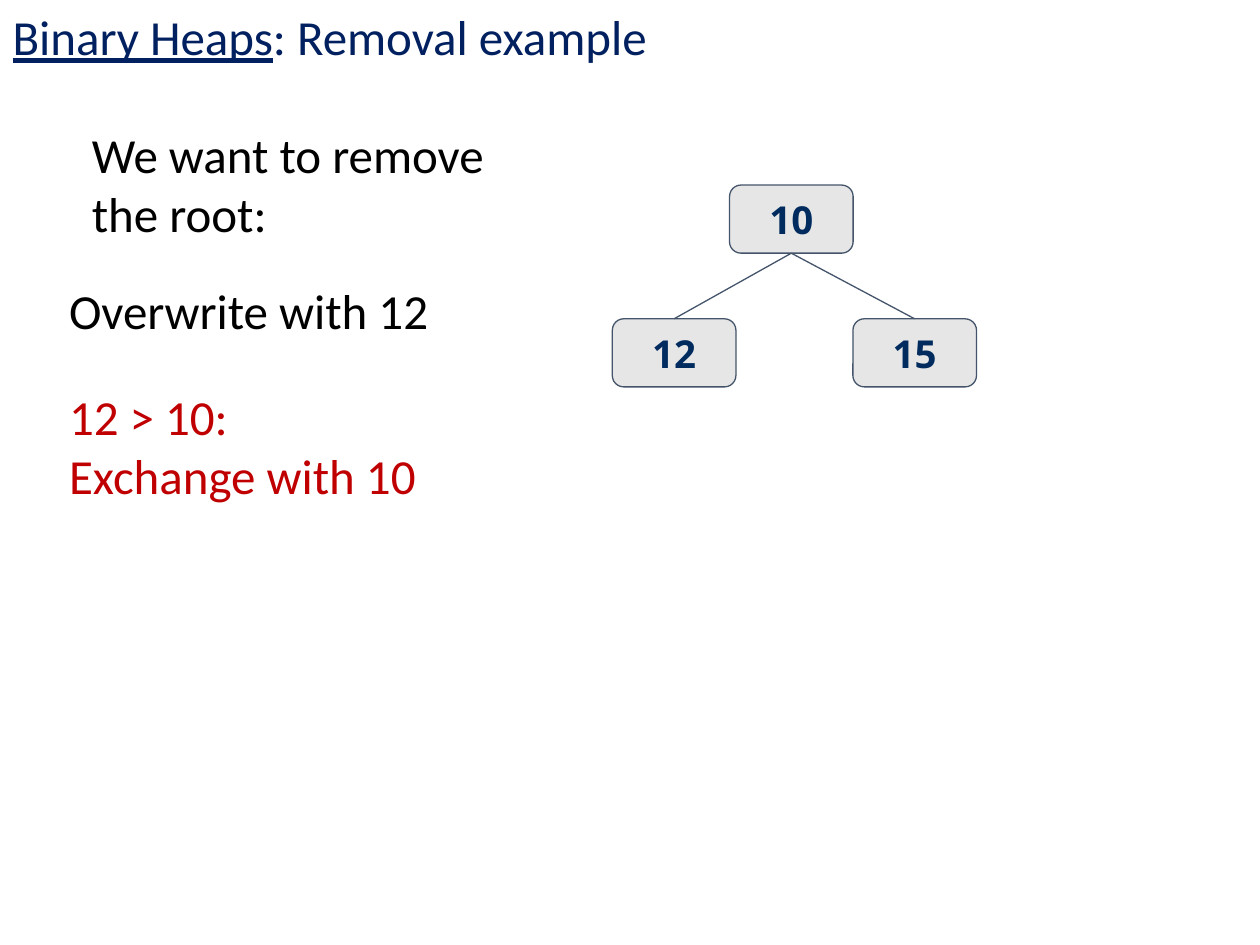
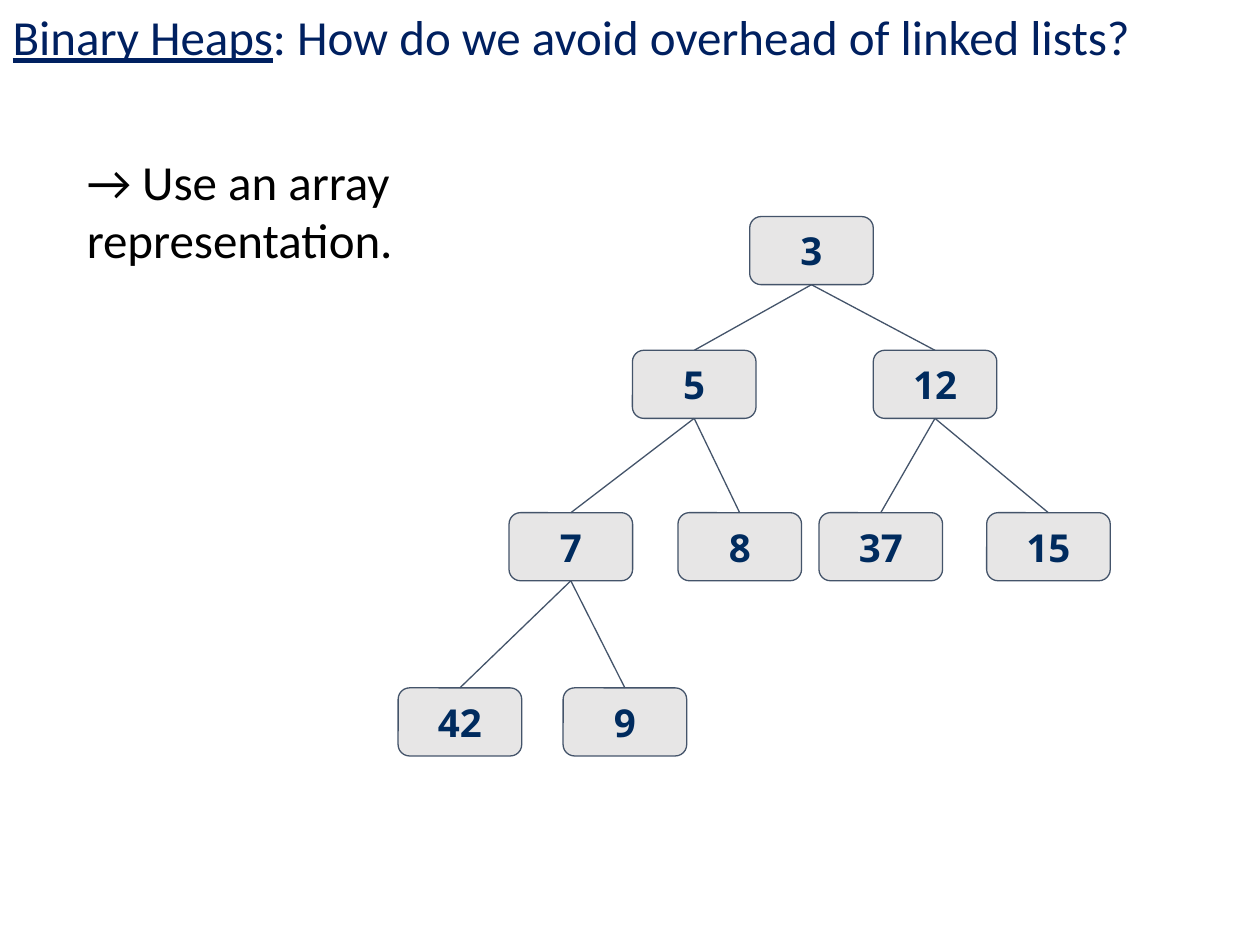
"""Builds two slides on binary heaps: a removal example and the step to an array."""
from dataclasses import dataclass

from pptx import Presentation
from pptx.dml.color import RGBColor
from pptx.enum.shapes import MSO_CONNECTOR as Connector, MSO_SHAPE as Shape
from pptx.enum.text import MSO_ANCHOR as Anchor, MSO_AUTO_SIZE as AutoSize, PP_ALIGN as Align
from pptx.oxml.ns import qn
from pptx.util import Pt


@dataclass(frozen=True)
class Theme:
    title: RGBColor = RGBColor.from_string("002060")
    body: RGBColor = RGBColor.from_string("000000")
    accent: RGBColor = RGBColor.from_string("C00000")
    node_text: RGBColor = RGBColor.from_string("002B5E")
    node_fill: RGBColor = RGBColor.from_string("E7E6E6")
    edge: RGBColor = RGBColor.from_string("44546A")
    text_font: str = "Calibri"
    node_font: str = "Noto Sans"
    text_size: Pt = Pt(28)
    node_size: Pt = Pt(22)
    edge_width: Pt = Pt(0.75)


theme = Theme()
NODE_WIDTH, NODE_HEIGHT = Pt(70.6), Pt(38.9)
BOTTOM, TOP = 2, 0

SLIDES = [
    {
        "title": ": Removal example",
        "notes": [
            (45.4, 67.7, 280.8, 74.9, theme.body, ["We want to remove the root:"]),
            (32.4, 157, 280.8, 41, theme.body, ["Overwrite with 12"]),
            (32.4, 217.4, 280.8, 108.7, theme.accent, ["12 > 10:", "Exchange with 10"]),
        ],
        "levels": [
            (105.8, [("10", 416.9)]),
            (182.2, [("12", 349.9), ("15", 487.4)]),
        ],
    },
    {
        "title": ": How do we avoid overhead of linked lists?",
        "notes": [
            (42.5, 82.8, 210.2, 74.9, theme.body, ["→ Use an array representation."]),
        ],
        "levels": [
            (123.8, [("3", 428.4)]),
            (200.2, [("5", 361.4), ("12", 499)]),
            (293, [("7", 290.9), ("8", 387.4), ("37", 468), ("15", 563.8)]),
            (393.1, [("42", 227.5), ("9", 321.8)]),
        ],
    },
]


def add_run(paragraph, text, color, font=theme.text_font, size=theme.text_size):
    run = paragraph.add_run()
    run.text = text
    run.font.name = font
    run.font.size = size
    run.font.color.rgb = color
    return run


presentation = Presentation()
presentation.slide_width, presentation.slide_height = Pt(720), Pt(540)
title_only = presentation.slide_layouts[5]

for content in SLIDES:
    slide = presentation.slides.add_slide(title_only)

    title = slide.shapes.title
    title.left, title.top, title.width, title.height = Pt(0), Pt(0), Pt(705), Pt(41)
    title.text_frame.auto_size = AutoSize.NONE
    title.text_frame.vertical_anchor = Anchor.TOP
    paragraph = title.text_frame.paragraphs[0]
    paragraph.alignment = Align.LEFT
    add_run(paragraph, "Binary Heaps", theme.title).font.underline = True
    add_run(paragraph, content["title"], theme.title)

    for left, top, width, height, color, lines in content["notes"]:
        note = slide.shapes.add_textbox(Pt(left), Pt(top), Pt(width), Pt(height))
        note.text_frame.word_wrap = True
        for number, line in enumerate(lines):
            paragraph = note.text_frame.add_paragraph() if number else note.text_frame.paragraphs[0]
            add_run(paragraph, line, color)

    nodes = []
    for top, level in content["levels"]:
        for value, left in level:
            node = slide.shapes.add_shape(
                Shape.ROUNDED_RECTANGLE, Pt(left), Pt(top), NODE_WIDTH, NODE_HEIGHT)
            node.shadow.inherit = False
            node.fill.solid()
            node.fill.fore_color.rgb = theme.node_fill
            node.line.color.rgb = theme.edge
            node.line.width = theme.edge_width
            frame = node.text_frame
            frame.margin_left = frame.margin_right = Pt(7.2)
            frame.margin_top = frame.margin_bottom = Pt(7.2)
            frame.vertical_anchor = Anchor.MIDDLE
            paragraph = frame.paragraphs[0]
            paragraph.alignment = Align.CENTER
            run = add_run(paragraph, value, theme.node_text, theme.node_font, theme.node_size)
            run.font.bold = True
            nodes.append(node)

    for index, child in enumerate(nodes[1:], start=1):
        parent = nodes[(index - 1) // 2]
        edge = slide.shapes.add_connector(Connector.STRAIGHT, 0, 0, 0, 0)
        edge.begin_connect(parent, BOTTOM)
        edge.end_connect(child, TOP)
        edge.line.color.rgb = theme.edge
        edge.line.width = theme.edge_width
        properties = edge._element.spPr
        properties.append(properties.makeelement(qn("a:effectLst"), {}))

presentation.save("out.pptx")
